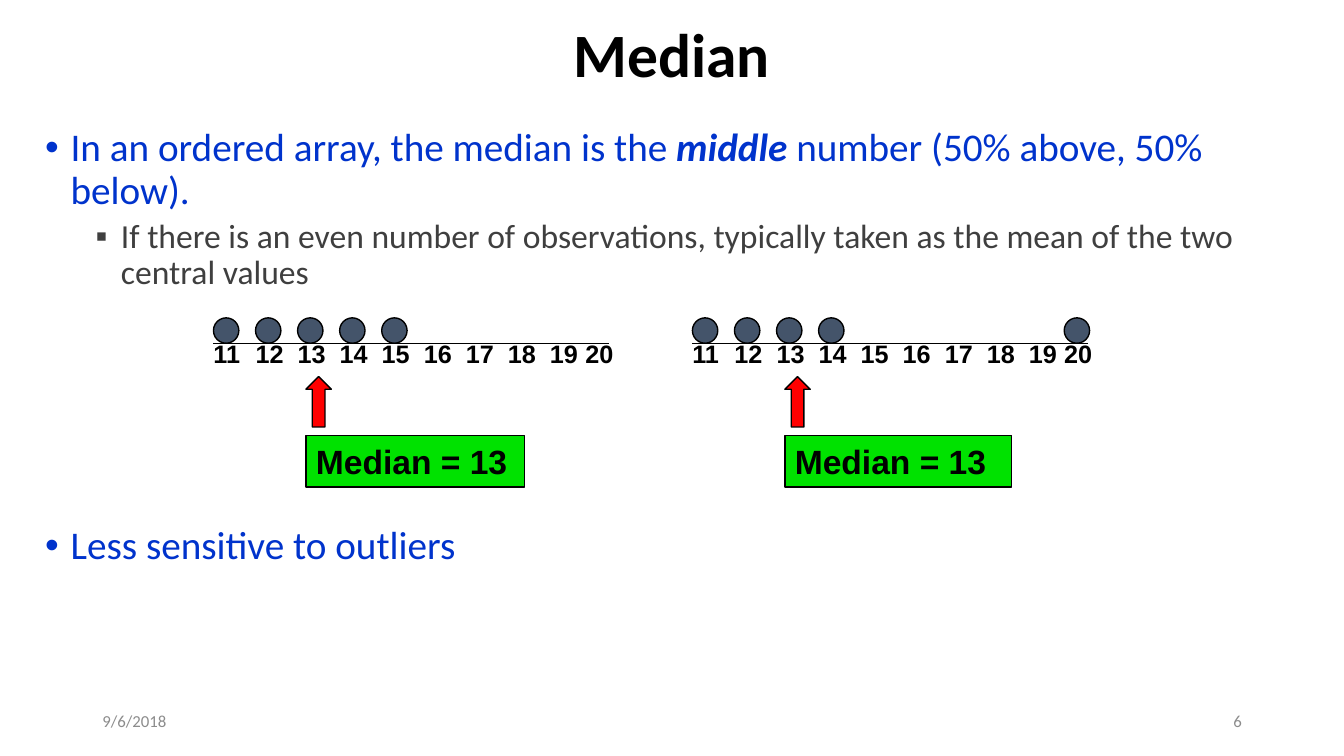
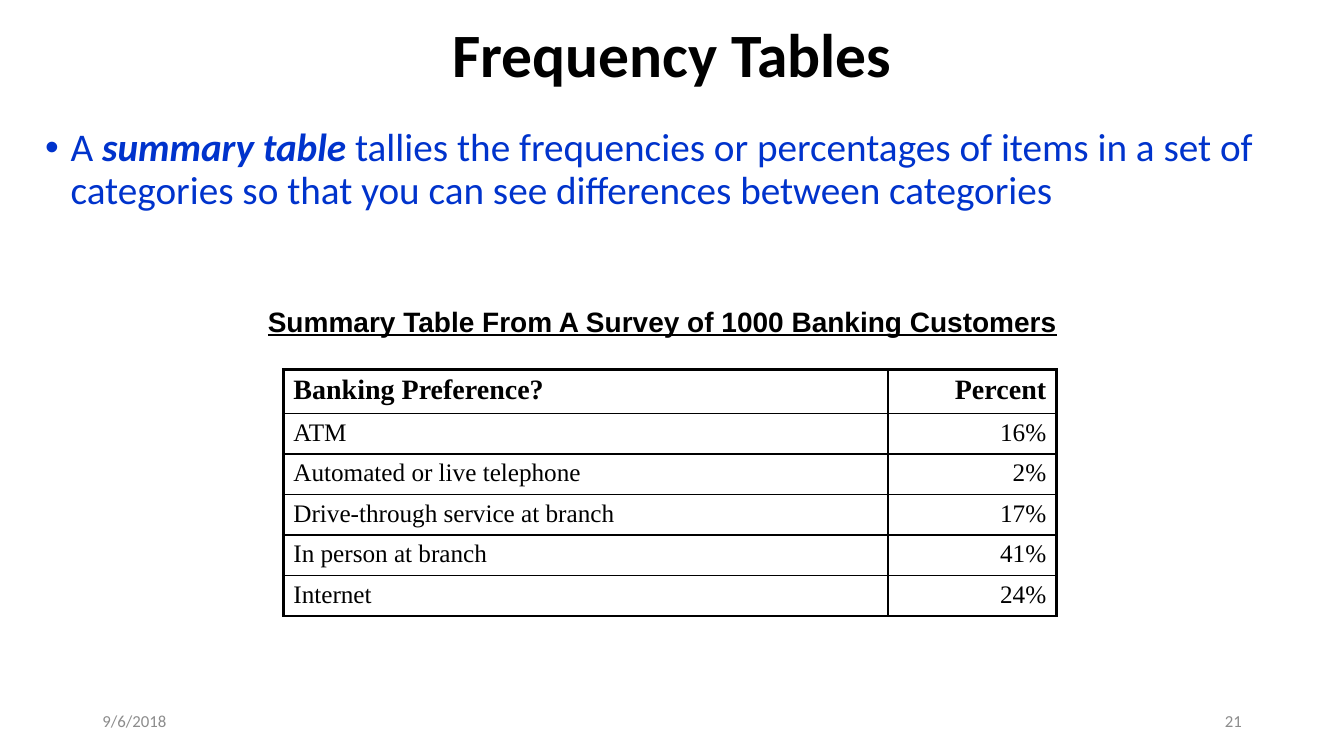
from dataclasses import dataclass

from pptx import Presentation
from pptx.dml.color import RGBColor as Rgb
from pptx.enum.shapes import MSO_CONNECTOR as Connector, MSO_SHAPE as Preset
from pptx.enum.text import MSO_ANCHOR as Anchor, PP_ALIGN as Align
from pptx.oxml.ns import qn
from pptx.util import Cm, Pt
from lxml.etree import SubElement


@dataclass(frozen=True)
class Theme:
    # Colours
    ink: str = "000000"
    blue: str = "0033CC"
    grey: str = "3F3F3F"
    pale: str = "8C8C8C"
    dot: str = "44546A"
    red: str = "FF0000"
    green: str = "00E200"
    # Fonts
    body_font: str = "Calibri"
    label_font: str = "Arial"
    table_font: str = "Times New Roman"
    # Type sizes and line widths, in points
    title: int = 44
    bullet: int = 28
    large: int = 24
    medium: int = 20
    small: int = 18
    footer: int = 12
    thin: float = 1
    thick: float = 2.25


THEME = Theme()
DATE = "9/6/2018"

# Number line, in centimetres
FIRST, LAST = 11, 20
TICK_GAP, LAST_GAP = 1.06, 0.89
DOT_SIZE = 0.64
AXIS_TOP, AXIS_LENGTH = 8.65, 9.96
MARK_OFFSET = 2.33

PREFERENCES = [
    ("Banking Preference?", "Percent"),
    ("ATM", "16%"),
    ("Automated or live telephone", "2%"),
    ("Drive-through service at branch", "17%"),
    ("In person at branch", "41%"),
    ("Internet", "24%"),
]


# Text
def write(para, text, *, size, color=THEME.ink, font=THEME.body_font,
          bold=False, italic=False, underline=False, align=None):
    """Add one formatted span to a paragraph."""
    if align is not None:
        para.alignment = align
    span = para.add_run()
    span.text = text
    span.font.name = font
    span.font.size = Pt(size)
    span.font.color.rgb = Rgb.from_string(color)
    span.font.bold = bold
    span.font.italic = italic
    span.font.underline = underline


def add_box(page, left, top, width, height, anchor=Anchor.TOP):
    box = page.shapes.add_textbox(Cm(left), Cm(top), Cm(width), Cm(height))
    frame = box.text_frame
    frame.word_wrap = True
    frame.vertical_anchor = anchor
    return frame


def add_bullet(frame, parts, level=0, before=0):
    """Add a bullet; every second part is emphasised."""
    first = not frame.paragraphs[0].runs
    para = frame.paragraphs[0] if first else frame.add_paragraph()
    para.line_spacing = 0.9
    para.space_before = Pt(before)
    para.level = level
    props = para._p.get_or_add_pPr()
    props.set("marL", str(Cm(0.64 + 1.27 * level)))
    props.set("indent", str(Cm(-0.64)))
    SubElement(props, qn("a:buFont"), typeface=THEME.label_font)
    SubElement(props, qn("a:buChar"), char="•▪"[level])
    size, color = [(THEME.bullet, THEME.blue), (THEME.large, THEME.grey)][level]
    for index, part in enumerate(parts):
        strong = index % 2 == 1
        write(para, part, size=size, color=color, bold=strong, italic=strong)


# Shapes
def add_shape(page, preset, left, top, width, height, fill):
    shape = page.shapes.add_shape(preset, Cm(left), Cm(top), Cm(width), Cm(height))
    shape.shadow.inherit = False
    shape.fill.solid()
    shape.fill.fore_color.rgb = Rgb.from_string(fill)
    shape.line.color.rgb = Rgb.from_string(THEME.ink)
    shape.line.width = Pt(THEME.thin)
    return shape


def add_axis(page, left):
    axis = page.shapes.add_connector(
        Connector.STRAIGHT, Cm(left), Cm(AXIS_TOP), Cm(left + AXIS_LENGTH), Cm(AXIS_TOP))
    axis.line.color.rgb = Rgb.from_string(THEME.ink)
    axis.line.width = Pt(THEME.thin)
    SubElement(axis._element.spPr, qn("a:effectLst"))


def tick_offset(value):
    """Distance from the first tick; the last gap is narrower."""
    offset = (value - FIRST) * TICK_GAP
    return offset - TICK_GAP + LAST_GAP if value == LAST else offset


def add_number_line(page, left, values, median, label_width):
    # Median label and its arrow
    mark_left = left + MARK_OFFSET
    add_shape(page, Preset.UP_ARROW, mark_left, 9.49, 0.64, 1.27, THEME.red)
    label = add_shape(page, Preset.RECTANGLE, mark_left, 10.97, label_width, 1.3, THEME.green)
    write(label.text_frame.paragraphs[0], f"Median = {median}", size=THEME.large,
          font=THEME.label_font, bold=True, align=Align.LEFT)

    # Scale, one tab stop for each number after the first
    para = add_box(page, left - 0.25, 8.4, 11.1, 1.02).paragraphs[0]
    scale = range(FIRST, LAST + 1)
    tabs = SubElement(para._p.get_or_add_pPr(), qn("a:tabLst"))
    for number in scale[1:]:
        SubElement(tabs, qn("a:tab"), pos=str(Cm(tick_offset(number))), algn="l")
    write(para, "\t".join(map(str, scale)), size=THEME.small,
          font=THEME.label_font, bold=True)

    # Observations
    for value in values:
        add_shape(page, Preset.OVAL, left + tick_offset(value), AXIS_TOP - DOT_SIZE,
                  DOT_SIZE, DOT_SIZE, THEME.dot)
    add_axis(page, left)


# Table
def set_border(cell, side, width):
    line = SubElement(cell._tc.get_or_add_tcPr(), qn(f"a:ln{side}"), w=str(Pt(width)))
    fill = SubElement(line, qn("a:solidFill"))
    SubElement(fill, qn("a:srgbClr"), val=THEME.ink)


def add_table(page, rows, left, top, widths, head_height, row_height):
    heights = [head_height] + [row_height] * (len(rows) - 1)
    table = page.shapes.add_table(len(rows), len(widths), Cm(left), Cm(top),
                                  Cm(sum(widths)), Cm(sum(heights))).table
    table.first_row = table.horz_banding = False
    for column, width in zip(table.columns, widths):
        column.width = Cm(width)
    for y, (row, height) in enumerate(zip(rows, heights)):
        table.rows[y].height = Cm(height)
        for x, text in enumerate(row):
            cell = table.cell(y, x)
            outer = {"L": x == 0, "R": x == len(row) - 1,
                     "T": y == 0, "B": y == len(rows) - 1}
            for side, is_outer in outer.items():
                set_border(cell, side, THEME.thick if is_outer else THEME.thin)
            cell.fill.background()
            write(cell.text_frame.paragraphs[0], text, font=THEME.table_font,
                  size=THEME.small if y else THEME.medium, bold=y == 0,
                  align=Align.RIGHT if x else Align.LEFT)


# Pages
def add_page(deck, title, number):
    """Add a page with title and footer; return it with its body frame."""
    page = deck.slides.add_slide(deck.slide_layouts[6])
    para = add_box(page, 2.33, 0.3, 29.21, 2.31, Anchor.MIDDLE).paragraphs[0]
    para.line_spacing = 0.9
    write(para, title, size=THEME.title, bold=True, align=Align.CENTER)
    body = add_box(page, 0.89, 3.1, 32.28, 14.05)
    for left, text, align in ((2.33, DATE, Align.LEFT), (23.93, str(number), Align.RIGHT)):
        frame = add_box(page, left, 17.65, 7.62, 1.02, Anchor.MIDDLE)
        write(frame.paragraphs[0], text, size=THEME.footer, color=THEME.pale, align=align)
    return page, body


def add_median_page(deck):
    page, body = add_page(deck, "Median", 6)
    add_bullet(body, ["In an ordered array, the median is the ", "middle ",
                      "number (50% above, 50% below)."])
    add_bullet(body, ["If there is an even number of observations, typically taken "
                      "as the mean of the two central values"], level=1, before=5)
    # The space holds the two number lines
    add_bullet(body, ["Less sensitive to outliers"], before=167)
    add_number_line(page, 5.38, [11, 12, 13, 14, 15], 13, 5.51)
    add_number_line(page, 17.45, [11, 12, 13, 14, 20], 13, 5.72)


def add_frequency_page(deck):
    page, body = add_page(deck, "Frequency Tables", 21)
    add_bullet(body, ["A ", "summary table ",
                      "tallies the frequencies or percentages of items in a set of "
                      "categories so that you can see differences between categories"])
    add_table(page, PREFERENCES, 7.14, 9.32, [15.24, 4.24], 1.09, 1.02)
    caption = add_box(page, 6.5, 7.54, 21, 1.12)
    write(caption.paragraphs[0], "Summary Table From A Survey of 1000 Banking Customers",
          size=THEME.medium, font=THEME.label_font, bold=True, underline=True)


def main():
    deck = Presentation()
    deck.slide_width, deck.slide_height = Cm(33.87), Cm(19.05)
    add_median_page(deck)
    add_frequency_page(deck)
    deck.save("out.pptx")


if __name__ == "__main__":
    main()
